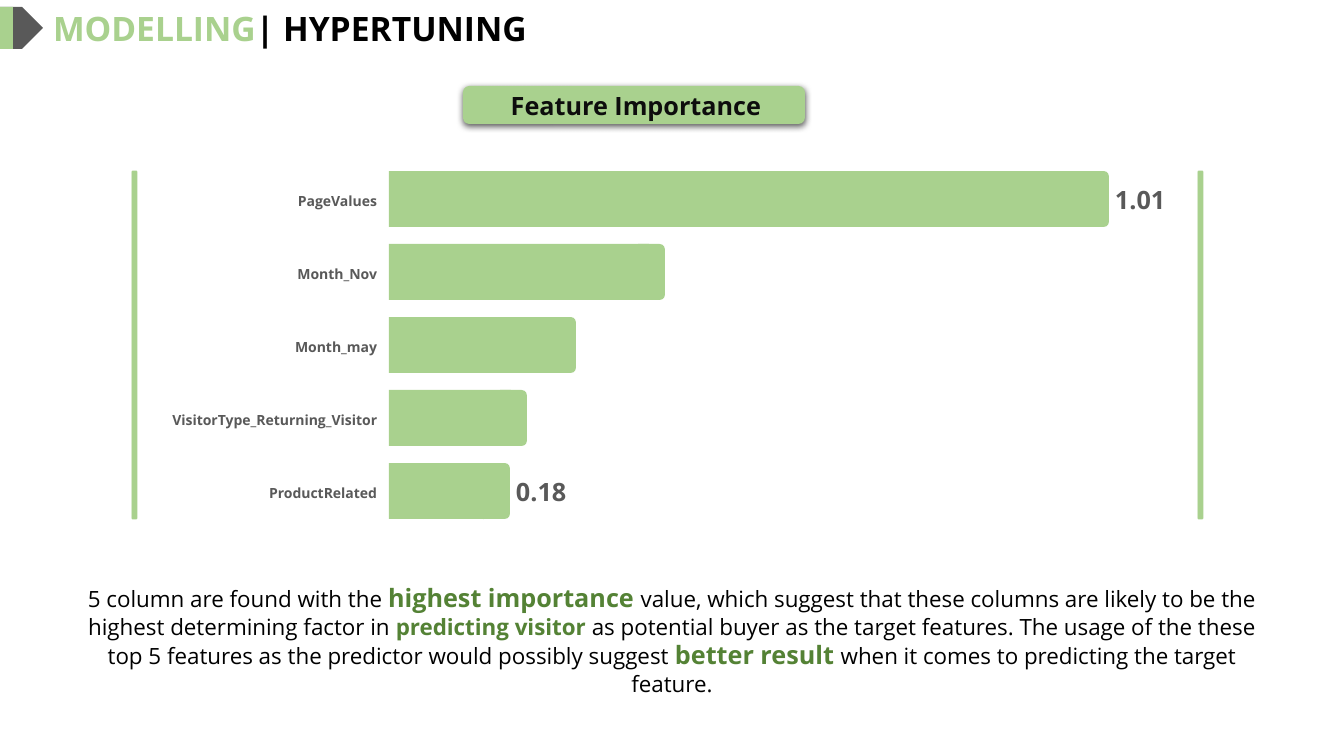
"""Build the feature importance slide."""
from lxml import etree
from pptx import Presentation
from pptx import util as u
from pptx.dml.color import RGBColor
from pptx.enum import shapes, text
from pptx.oxml import parse_xml

GREEN = RGBColor(0xA9, 0xD1, 0x8E)
DARK_GREEN = RGBColor(0x54, 0x82, 0x35)
GRAY = RGBColor(0x59, 0x59, 0x59)
INK = RGBColor(0x0D, 0x0D, 0x0D)
BLACK = RGBColor(0, 0, 0)

TITLE = [("MODELLING", 24, GREEN, True), ("| HYPERTUNING", 24, BLACK, True)]
BANNER = [("Feature Importance", 18, INK, True)]
FEATURES = [
    ("PageValues", 1109, "1.01"),
    ("Month_Nov", 665, None),
    ("Month_may", 576, None),
    ("VisitorType_Returning_Visitor", 527, None),
    ("ProductRelated", 510, "0.18"),
]
SUMMARY = [
    ("5 column are found with the ", 16, BLACK, False),
    ("highest importance ", 18, DARK_GREEN, True),
    ("value, which suggest that these columns are likely to be the "
     "highest determining factor in ", 16, BLACK, False),
    ("predicting visitor", 16, DARK_GREEN, True),
    (" as potential buyer as the target features. The usage of the these "
     "top 5 features as the predictor would possibly suggest ", 16, BLACK, False),
    ("better result ", 18, DARK_GREEN, True),
    ("when it comes to predicting the target feature.", 16, BLACK, False),
]

SCALE = u.Inches(1) / 100.8
BAR_LEFT, BAR_TOP, BAR_HEIGHT, BAR_PITCH = 389, 171, 56, 73
CAP_WIDTH, LABEL_WIDTH = 32, 240
FRAME_HEIGHT = (len(FEATURES) - 1) * BAR_PITCH + BAR_HEIGHT
SHADOW = (
    '<a:effectLst xmlns:a="http://schemas.openxmlformats.org/drawingml/2006/main">'
    '<a:outerShdw blurRad="57150" dist="19050" dir="5400000" algn="ctr" rotWithShape="0">'
    '<a:srgbClr val="000000"><a:alpha val="63000"/></a:srgbClr>'
    '</a:outerShdw></a:effectLst>'
)


def px(*lengths):
    return [u.Emu(round(length * SCALE)) for length in lengths]


def write(shape, runs, align=text.PP_ALIGN.LEFT, anchor=text.MSO_ANCHOR.TOP, insets=(10, 5, 10, 5)):
    frame = shape.text_frame
    sides = ("margin_left", "margin_top", "margin_right", "margin_bottom")
    settings = dict(zip(sides, px(*insets)), word_wrap=True,
                    auto_size=text.MSO_AUTO_SIZE.NONE, vertical_anchor=anchor)
    for name, value in settings.items():
        setattr(frame, name, value)
    para = frame.paragraphs[0]
    para.alignment, para.line_spacing = align, 1.0
    for words, size, color, bold in runs:
        span = para.add_run()
        span.text = words
        for name, value in {"name": "Open Sans", "size": u.Pt(size), "bold": bold}.items():
            setattr(span.font, name, value)
        span.font.color.rgb = color


def add_shape(page, kind, place, color=GREEN):
    shape = page.shapes.add_shape(kind, *px(*place))
    shape.shadow.inherit = False
    shape.fill.solid()
    shape.fill.fore_color.rgb = color
    shape.line.fill.background()
    return shape


def add_text(page, place, runs, **layout):
    write(page.shapes.add_textbox(*px(*place)), runs, **layout)


def add_bar(page, row, label, right, value):
    top = BAR_TOP + row * BAR_PITCH
    cap = (right - CAP_WIDTH, top, CAP_WIDTH, BAR_HEIGHT)
    body = (BAR_LEFT, top, right - CAP_WIDTH // 2 - BAR_LEFT, BAR_HEIGHT)
    add_shape(page, shapes.MSO_SHAPE.ROUNDED_RECTANGLE, cap)
    add_shape(page, shapes.MSO_SHAPE.RECTANGLE, body)
    add_text(page, (BAR_LEFT - LABEL_WIDTH, top + 17, LABEL_WIDTH, 27),
             [(label, 10, GRAY, True)], align=text.PP_ALIGN.RIGHT, insets=(0, 5, 12, 5))
    if value:
        add_text(page, (right - 4, top + 8, 108, 40), [(value, 18, GRAY, True)])


def main():
    deck = Presentation()
    deck.slide_width, deck.slide_height = px(1344, 756)
    page = deck.slides.add_slide(deck.slide_layouts[5])

    title = page.shapes.title
    title.left, title.top, title.width, title.height = px(43, 3, 1114, 50)
    write(title, TITLE)
    add_shape(page, shapes.MSO_SHAPE.PENTAGON, (0, 7, 43, 42), GRAY)
    add_shape(page, shapes.MSO_SHAPE.RECTANGLE, (0, 7, 13, 42))

    banner = add_shape(page, shapes.MSO_SHAPE.ROUNDED_RECTANGLE, (463, 86, 342, 38))
    properties = banner.element.spPr
    properties.replace(properties.find("{*}effectLst"), parse_xml(SHADOW))
    write(banner, BANNER, align=text.PP_ALIGN.CENTER, anchor=text.MSO_ANCHOR.MIDDLE,
          insets=(4, 1, 0, 0))

    for row, feature in enumerate(FEATURES):
        add_bar(page, row, *feature)
    for left in (132, 1198):
        side = add_shape(page, shapes.MSO_SHAPE.ROUNDED_RECTANGLE, (left, BAR_TOP, 5, FRAME_HEIGHT))
        side.line.color.rgb = GREEN
        side.line.width = u.Pt(0.5)

    add_text(page, (67, 567, 1210, 145), SUMMARY, align=text.PP_ALIGN.CENTER,
             anchor=text.MSO_ANCHOR.MIDDLE, insets=(13, 13, 13, 13))
    deck.save("out.pptx")


if __name__ == "__main__":
    main()
